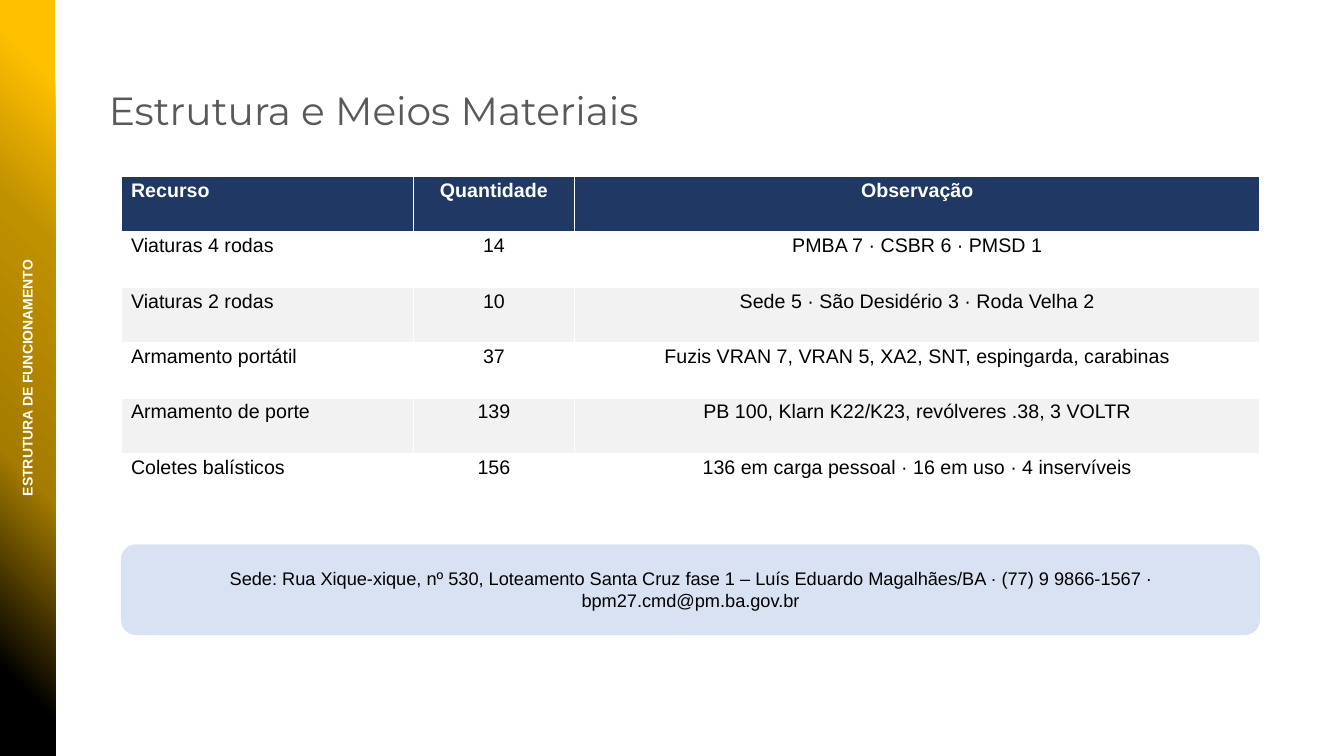
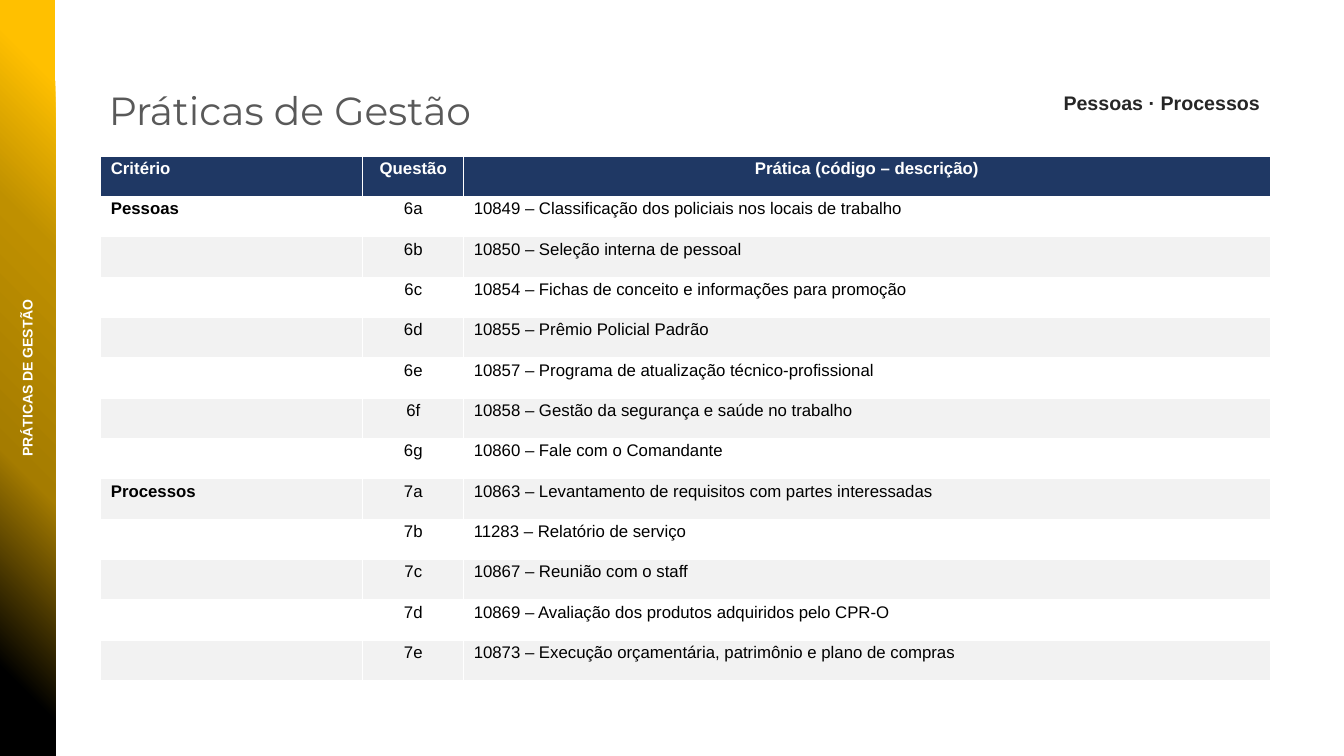
from lxml import etree
from pptx import Presentation
from pptx import util as u
from pptx.dml.color import RGBColor
from pptx.enum import shapes, text
from pptx.oxml import ns

LEFT, CENTER, RIGHT = text.PP_ALIGN.LEFT, text.PP_ALIGN.CENTER, text.PP_ALIGN.RIGHT


def color(hex_value):
    return RGBColor.from_string(hex_value)


def grid(units):
    """Convert grid units, ten to the inch, to a length."""
    return u.Inches(units / 10)


class Deck:
    COLUMNS, ROWS = 133.33, 75
    BAND_WIDTH = 5.5
    FONT, TITLE_FONT = "Arial", "Montserrat"
    TITLE, INK, DARK, WHITE = "595959", "000000", "262626", "FFFFFF"
    NAVY, GRAY, PALE_BLUE = "1F3864", "F2F2F2", "D9E2F3"
    BAND_STOPS = [(0, "000000"), (11, "000000"), (38, "A57C00"),
                  (69, "BF9000"), (90, "FFC000"), (100, "FFC000")]

    def __init__(self):
        self.prs = Presentation()
        self.prs.slide_width = grid(self.COLUMNS)
        self.prs.slide_height = grid(self.ROWS)
        self.slide = None

    def new_slide(self, title, section):
        self.slide = self.prs.slides.add_slide(self.prs.slide_layouts[5])
        self.band()
        self.title(title)
        label = self.textbox(section, (-26.6, 36.1, 58.7, 2.8), 10, self.WHITE, CENTER)
        label.rotation = 270

    def add_text(self, paragraph, words, size, ink, align=LEFT, bold=False, font=FONT):
        paragraph.alignment = align
        run = paragraph.add_run()
        run.text = words
        run.font.name = font
        run.font.size = u.Pt(size)
        run.font.bold = bold
        run.font.color.rgb = color(ink)

    def title(self, words):
        heading = self.slide.shapes.title
        heading.left, heading.top, heading.width, heading.height = map(
            grid, (9.8, 8.1, 95.1, 5.7))
        frame = heading.text_frame
        frame.auto_size = text.MSO_AUTO_SIZE.SHAPE_TO_FIT_TEXT
        frame.vertical_anchor = text.MSO_ANCHOR.TOP
        self.add_text(frame.paragraphs[0], words, 28, self.TITLE, font=self.TITLE_FONT)

    def textbox(self, words, place, size, ink, align):
        box = self.slide.shapes.add_textbox(*map(grid, place))
        frame = box.text_frame
        frame.word_wrap = True
        frame.auto_size = text.MSO_AUTO_SIZE.SHAPE_TO_FIT_TEXT
        self.add_text(frame.paragraphs[0], words, size, ink, align, bold=True)
        return box

    def shape(self, kind, place):
        figure = self.slide.shapes.add_shape(kind, *map(grid, place))
        figure.shadow.inherit = False
        figure.line.fill.background()
        return figure

    def band(self):
        """Draw the side band, shaded outwards from its bottom left corner."""
        side = self.shape(shapes.MSO_SHAPE.RECTANGLE, (0, 0, self.BAND_WIDTH, self.ROWS))
        gradient = etree.Element(ns.qn("a:gradFill"), rotWithShape="1")
        stops = etree.SubElement(gradient, ns.qn("a:gsLst"))
        for share, hex_value in self.BAND_STOPS:
            stop = etree.SubElement(stops, ns.qn("a:gs"), pos=str(share * 1000))
            etree.SubElement(stop, ns.qn("a:srgbClr"), val=hex_value)
        shade = etree.SubElement(gradient, ns.qn("a:path"), path="circle")
        etree.SubElement(shade, ns.qn("a:fillToRect"), t="100000", r="100000")
        side._element.spPr.find(ns.qn("a:prstGeom")).addnext(gradient)

    def callout(self, words, place):
        panel = self.shape(shapes.MSO_SHAPE.ROUNDED_RECTANGLE, place)
        panel.fill.solid()
        panel.fill.fore_color.rgb = color(self.PALE_BLUE)
        frame = panel.text_frame
        frame.word_wrap = True
        frame.vertical_anchor = text.MSO_ANCHOR.MIDDLE
        self.add_text(frame.paragraphs[0], words, 13, self.INK, CENTER)

    def table(self, rows, left, top, widths, row_height, size, aligns, bold_first=False):
        """Add a table whose first row is the header; aligns is for the body columns."""
        place = (left, top, sum(widths), row_height * len(rows))
        table = self.slide.shapes.add_table(
            len(rows), len(widths), *map(grid, place)).table
        table.horz_banding = False
        for column, width in zip(table.columns, widths):
            column.width = grid(width)
        for r, row in enumerate(rows):
            header = r == 0
            fill = self.NAVY if header else (self.GRAY, self.WHITE)[r % 2]
            for c, words in enumerate(row):
                cell = table.cell(r, c)
                cell.margin_top = cell.margin_bottom = u.Inches(0.03)
                cell.fill.solid()
                cell.fill.fore_color.rgb = color(fill)
                if not words:
                    continue
                align = (CENTER if c else LEFT) if header else aligns[c]
                self.add_text(cell.text_frame.paragraphs[0], words, size,
                              self.WHITE if header else self.INK, align,
                              bold=header or (bold_first and c == 0))


RESOURCES = [
    ("Recurso", "Quantidade", "Observação"),
    ("Viaturas 4 rodas", "14", "PMBA 7 · CSBR 6 · PMSD 1"),
    ("Viaturas 2 rodas", "10", "Sede 5 · São Desidério 3 · Roda Velha 2"),
    ("Armamento portátil", "37", "Fuzis VRAN 7, VRAN 5, XA2, SNT, espingarda, carabinas"),
    ("Armamento de porte", "139", "PB 100, Klarn K22/K23, revólveres .38, 3 VOLTR"),
    ("Coletes balísticos", "156", "136 em carga pessoal · 16 em uso · 4 inservíveis"),
]

PRACTICES = [
    ("Critério", "Questão", "Prática (código – descrição)"),
    ("Pessoas", "6a", "10849 – Classificação dos policiais nos locais de trabalho"),
    ("", "6b", "10850 – Seleção interna de pessoal"),
    ("", "6c", "10854 – Fichas de conceito e informações para promoção"),
    ("", "6d", "10855 – Prêmio Policial Padrão"),
    ("", "6e", "10857 – Programa de atualização técnico-profissional"),
    ("", "6f", "10858 – Gestão da segurança e saúde no trabalho"),
    ("", "6g", "10860 – Fale com o Comandante"),
    ("Processos", "7a", "10863 – Levantamento de requisitos com partes interessadas"),
    ("", "7b", "11283 – Relatório de serviço"),
    ("", "7c", "10867 – Reunião com o staff"),
    ("", "7d", "10869 – Avaliação dos produtos adquiridos pelo CPR-O"),
    ("", "7e", "10873 – Execução orçamentária, patrimônio e plano de compras"),
]


def main():
    deck = Deck()

    deck.new_slide("Estrutura e Meios Materiais", "ESTRUTURA DE FUNCIONAMENTO")
    deck.table(RESOURCES, 12, 17.5, (29, 16, 68), 5.5, 14, (LEFT, CENTER, CENTER))
    deck.callout("Sede: Rua Xique-xique, nº 530, Loteamento Santa Cruz fase 1 – "
                 "Luís Eduardo Magalhães/BA · (77) 9 9866-1567 · bpm27.cmd@pm.ba.gov.br",
                 (12, 54, 113, 9))

    deck.new_slide("Práticas de Gestão", "PRÁTICAS DE GESTÃO")
    deck.table(PRACTICES, 10, 15.5, (26, 10, 80), 4, 12, (LEFT, CENTER, LEFT),
               bold_first=True)
    deck.textbox("Pessoas · Processos", (70, 8.5, 56, 5), 14, deck.DARK, RIGHT)

    deck.prs.save("out.pptx")


if __name__ == "__main__":
    main()
